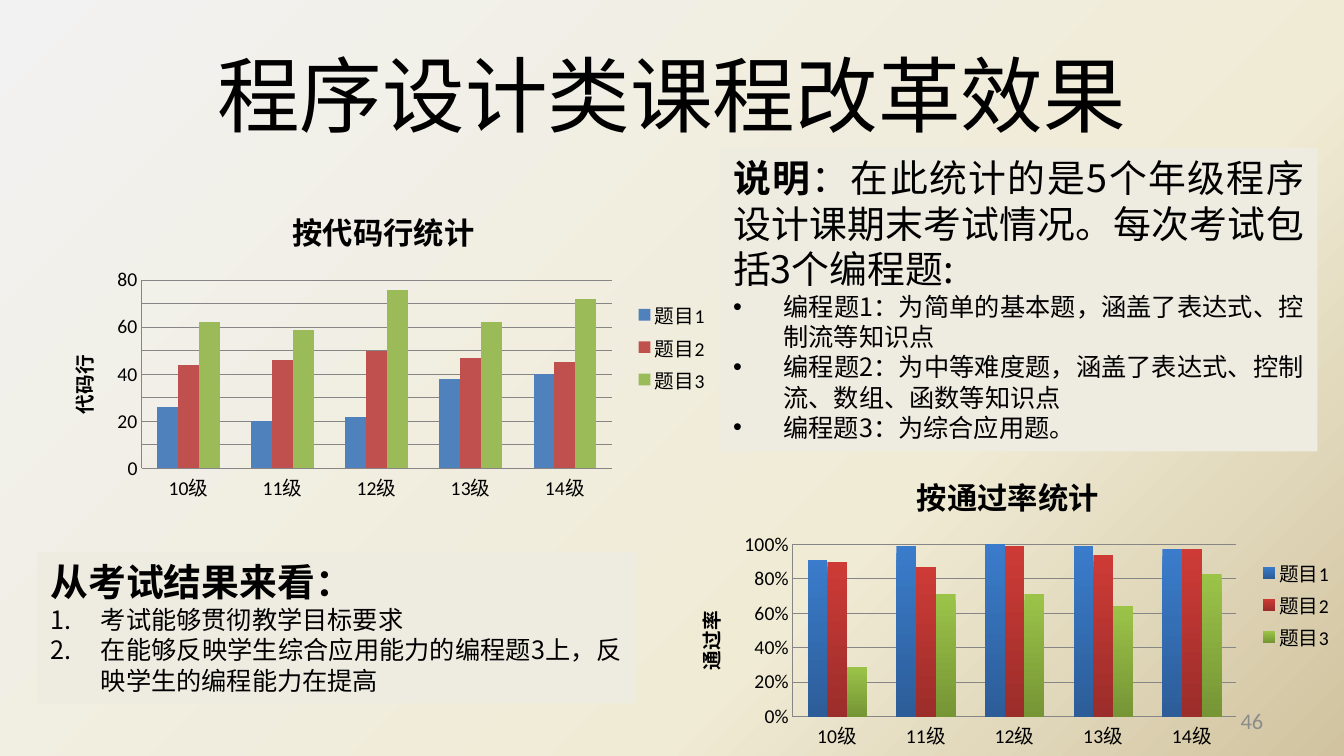
from typing import NamedTuple

from pptx import Presentation
from pptx.chart.data import CategoryChartData
from pptx.dml.color import RGBColor
from pptx.enum import chart as ch, text as tx
from pptx.oxml import parse_xml
from pptx.oxml.ns import nsdecls, qn
from pptx.util import Pt

COLOURS = {
    "text": "000000", "number": "8C8C8C", "panel": "EEECE1", "axis": "868686",
    "blue": "4F81BD", "blue top": "3A7CCB", "blue bottom": "2C5D98",
    "red": "C0504D", "red top": "CE3B37", "red bottom": "9B2D2A",
    "green": "9BBB59", "green top": "9BC348", "green bottom": "769535",
}
BACKDROP = {0: "F2F2F2", 67: "F0EBD5", 100: "D1C39F"}
GRADES = [f"{year}级" for year in range(10, 15)]
LATIN, CHINESE = "Calibri", "Noto Sans CJK SC"
LINE_PITCH = 1.2
Box = tuple[float, float, float, float]


class Panel(NamedTuple):
    box: Box
    heading: str
    lead: str
    bullet: str
    items: list[str]


class Statistic(NamedTuple):
    box: Box
    plot: Box
    title: str
    measure: str
    number_format: str
    top: float
    step: float
    minor_grid: bool
    shaded: bool
    results: list[list[float]]


PANELS = [
    Panel((514, 106, 427, 216.5), "说明",
          "：在此统计的是5个年级程序设计课期末考试情况。每次考试包括3个编程题:",
          '<a:buChar {} char="•"/>',
          ["编程题1：为简单的基本题，涵盖了表达式、控制流等知识点",
           "编程题2：为中等难度题，涵盖了表达式、控制流、数组、函数等知识点",
           "编程题3：为综合应用题。"]),
    Panel((26.5, 394.5, 427, 108), "从考试结果来看：", "",
          '<a:buAutoNum {} type="arabicPeriod"/>',
          ["考试能够贯彻教学目标要求",
           "在能够反映学生综合应用能力的编程题3上，反映学生的编程能力在提高"]),
]
STATISTICS = [
    Statistic((34, 134, 480, 228), (0.14, 0.29, 0.7, 0.59), "按代码行统计", "代码行",
              "General", 80, 20, True, False,
              [[26, 20, 22, 38, 40], [44, 46, 50, 47, 45], [62, 59, 76, 62, 72]]),
    Statistic((480, 324, 480, 216), (0.18, 0.3, 0.66, 0.57), "按通过率统计", "通过率",
              "0%", 1, 0.2, False, True,
              [[0.91, 0.99, 1, 0.99, 0.97], [0.9, 0.87, 0.99, 0.94, 0.97],
               [0.29, 0.71, 0.71, 0.64, 0.83]]),
]


def rgb(name: str) -> RGBColor:
    return RGBColor.from_string(COLOURS[name])


def style(font, size: float, name: str = LATIN, colour: str = "text", bold: bool = False) -> None:
    font.size, font.name, font.bold = Pt(size), name, bold
    font.color.rgb = rgb(colour)


def prepare(shape, box: Box, anchor):
    """Place a text shape, set up its frame and return the frame."""
    shape.left, shape.top, shape.width, shape.height = map(Pt, box)
    frame = shape.text_frame
    frame.word_wrap, frame.auto_size = True, tx.MSO_AUTO_SIZE.NONE
    frame.vertical_anchor = anchor
    frame.margin_left = frame.margin_right = Pt(9.6)
    frame.margin_top = frame.margin_bottom = Pt(4.8)
    return frame


def paint_background(slide) -> None:
    """Radial gradient spreading from the top left corner."""
    slide.background.fill.solid()
    stops = "".join(f'<a:gs pos="{pos * 1000}"><a:srgbClr val="{hue}"/></a:gs>'
                    for pos, hue in BACKDROP.items())
    solid = next(slide.element.iter(qn("p:bgPr")))[0]
    solid.getparent().replace(solid, parse_xml(
        f'<a:gradFill {nsdecls("a")} rotWithShape="1"><a:gsLst>{stops}</a:gsLst>'
        '<a:path path="circle"><a:fillToRect r="100000" b="100000"/></a:path></a:gradFill>'))


def set_paragraph(paragraph, bullet: str, indent: float, size: float) -> None:
    properties = paragraph._p.get_or_add_pPr()
    properties.set("marL", str(Pt(indent)))
    properties.set("indent", str(-Pt(indent)))
    paragraph.alignment = tx.PP_ALIGN.JUSTIFY
    paragraph.space_before = paragraph.space_after = Pt(0)
    paragraph.line_spacing = Pt(size * LINE_PITCH)
    properties.append(parse_xml(bullet.format(nsdecls("a"))))
    style(paragraph.font, size, CHINESE)


def fill_panel(body, panel: Panel) -> None:
    frame = prepare(body, panel.box, tx.MSO_ANCHOR.TOP)
    body.fill.solid()
    body.fill.fore_color.rgb = rgb("panel")
    opening = frame.paragraphs[0]
    set_paragraph(opening, "<a:buNone {}/>", 0, 27)
    heading = opening.add_run()
    heading.text, heading.font.bold = panel.heading, True
    if panel.lead:
        opening.add_run().text = panel.lead
    for item in panel.items:
        point = frame.add_paragraph()
        set_paragraph(point, panel.bullet, 36, 18)
        point.add_run().text = item


def clear_backing(chart, plot: Box) -> None:
    """Make the chart see-through and fix the inner plot area."""
    clear = f'<c:spPr {nsdecls("c", "a")}><a:noFill/><a:ln><a:noFill/></a:ln></c:spPr>'
    whole = chart.element.find(qn("c:chart"))
    whole.addnext(parse_xml(clear))
    area = whole.find(qn("c:plotArea"))
    area.append(parse_xml(clear))
    for old in area.findall(qn("c:layout")):
        area.remove(old)
    edges = "".join(f'<c:{side} val="{share}"/>' for side, share in zip("xywh", plot))
    area.insert(0, parse_xml(
        f'<c:layout {nsdecls("c")}><c:manualLayout><c:layoutTarget val="inner"/>'
        f'<c:xMode val="edge"/><c:yMode val="edge"/>{edges}</c:manualLayout></c:layout>'))


def set_title(title, words: str, size: float) -> None:
    title.text_frame.text = words
    style(title.text_frame.paragraphs[0].font, size, bold=True)


def format_scale(scale, statistic: Statistic) -> None:
    scale.minimum_scale, scale.maximum_scale = 0, statistic.top
    scale.major_unit, scale.minor_unit = statistic.step, statistic.step / 2
    scale.tick_labels.number_format = statistic.number_format
    scale.tick_labels.number_format_is_linked = False
    scale.major_gridlines.format.line.color.rgb = rgb("axis")
    scale.has_minor_gridlines = statistic.minor_grid
    for grid in scale._element.findall(qn("c:minorGridlines")):
        grid.append(parse_xml(f'<c:spPr {nsdecls("c", "a")}><a:ln><a:solidFill><a:srgbClr '
                              f'val="{COLOURS["axis"]}"/></a:solidFill></a:ln></c:spPr>'))
    set_title(scale.axis_title, statistic.measure, 14)
    scale.axis_title.text_frame._txBody.find(qn("a:bodyPr")).set("rot", "-5400000")


def add_statistic(slide, statistic: Statistic) -> None:
    data = CategoryChartData(number_format=statistic.number_format)
    data.categories = GRADES
    for number, values in enumerate(statistic.results, 1):
        data.add_series(f"题目{number}", values)
    chart = slide.shapes.add_chart(ch.XL_CHART_TYPE.COLUMN_CLUSTERED,
                                   *map(Pt, statistic.box), data).chart
    style(chart.font, 18)
    set_title(chart.chart_title, statistic.title, 21.6)
    chart.has_legend = True
    chart.legend.position = ch.XL_LEGEND_POSITION.RIGHT
    chart.legend.include_in_layout = False
    style(chart.legend.font, 14)
    bars = chart.plots[0]
    bars.gap_width, bars.overlap, bars.vary_by_categories = 150, 0, False
    for series, hue in zip(bars.series, ("blue", "red", "green")):
        fill = series.format.fill
        if statistic.shaded:
            fill.gradient()
            fill.gradient_angle = 270
            for stop, end in zip(fill.gradient_stops, ("top", "bottom")):
                stop.color.rgb = rgb(f"{hue} {end}")
        else:
            fill.solid()
            fill.fore_color.rgb = rgb(hue)
    for axis in (chart.category_axis, chart.value_axis):
        axis.major_tick_mark = axis.minor_tick_mark = ch.XL_TICK_MARK.NONE
        axis.format.line.color.rgb = rgb("axis")
        style(axis.tick_labels.font, 14)
    format_scale(chart.value_axis, statistic)
    clear_backing(chart, statistic.plot)


deck = Presentation()
deck.slide_width, deck.slide_height = Pt(960), Pt(540)
slide = deck.slides.add_slide(deck.slide_layouts[3])
paint_background(slide)
title, *bodies = slide.placeholders
page_number = slide.shapes.add_textbox(0, 0, 0, 0)
for line, box, words, side, size, colour in (
        (title, (48, 21.5, 864, 90), "程序设计类课程改革效果", tx.PP_ALIGN.CENTER, 59, "text"),
        (page_number, (688, 500.5, 224, 29), "46", tx.PP_ALIGN.RIGHT, 16, "number")):
    frame = prepare(line, box, tx.MSO_ANCHOR.MIDDLE)
    frame.text = words
    frame.paragraphs[0].alignment = side
    style(frame.paragraphs[0].font, size, colour=colour)
for body, panel in zip(bodies, PANELS):
    fill_panel(body, panel)
for statistic in STATISTICS:
    add_statistic(slide, statistic)
deck.save("out.pptx")
